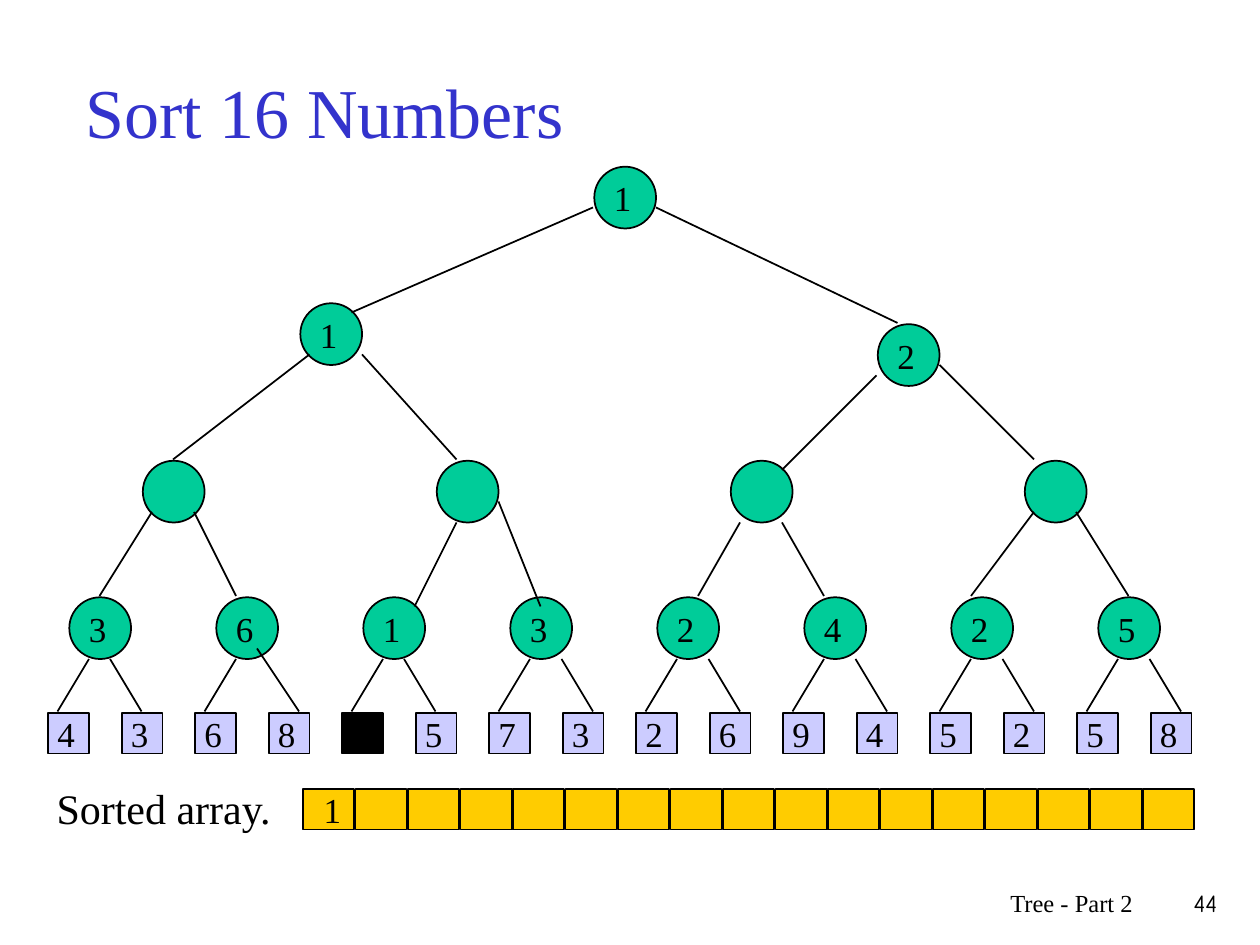
from typing import NamedTuple

from lxml import etree
from pptx import Presentation
from pptx.dml.color import RGBColor
from pptx.enum.shapes import MSO_CONNECTOR, MSO_SHAPE
from pptx.enum.text import MSO_ANCHOR, PP_ALIGN
from pptx.oxml.ns import qn
from pptx.util import Inches, Pt

OVAL, RECT = MSO_SHAPE.OVAL, MSO_SHAPE.RECTANGLE
STRAIGHT = MSO_CONNECTOR.STRAIGHT
LEFT, CENTER, RIGHT = PP_ALIGN.LEFT, PP_ALIGN.CENTER, PP_ALIGN.RIGHT
MIDDLE, TOP = MSO_ANCHOR.MIDDLE, MSO_ANCHOR.TOP

SERIF = "Times New Roman"
BLACK, BLUE, GREEN, LILAC, GOLD = "000000", "3333CC", "00CC99", "CCCCFF", "FFCC00"

# Grid of twelfths of an inch that the whole tree sits on
UNIT = 1 / 12
ORIGIN_X, ORIGIN_Y = 0.04, -0.02
GAP = 0.01


class Cell(NamedTuple):
    """A tree node, leaf or array slot, placed in grid units."""
    col: float
    row: float
    cols: float
    rows: float
    fill: str
    label: str = ""
    kind: int = RECT
    shift: float = -0.02  # offset of the label from the centre, inches


class Edge(NamedTuple):
    """A tree branch from parent to child, in grid units."""
    col1: int
    row1: int
    col2: int
    row2: int


def node(col: float, row: float, label: str = "") -> Cell:
    return Cell(col, row, 6, 6, GREEN, label, OVAL)


LEAVES = [Cell(4 + 7 * i, 68, 4, 4, LILAC if n else BLACK, n)
          for i, n in enumerate(["4", "3", "6", "8", "", "5", "7", "3",
                                 "2", "6", "9", "4", "5", "2", "5", "8"])]
NODES = ([node(6 + 14 * i, 57, n) for i, n in enumerate("36132425")]
         + [node(13 + 28 * i, 44) for i in range(4)]
         + [node(28, 29, "1"), node(83, 31, "2"), node(56, 16, "1")])
SLOTS = [Cell(28.25 + 5 * i, 75.25, 5, 4, GOLD, "" if i else "1", shift=0.03)
         for i in range(17)]

EDGES = [
    Edge(56, 20, 33, 30), Edge(62, 20, 85, 31),
    Edge(29, 34, 16, 44), Edge(34, 34, 43, 44),
    Edge(83, 36, 74, 45), Edge(89, 35, 98, 44),
    Edge(14, 49, 9, 57), Edge(18, 49, 22, 57),
    Edge(43, 50, 39, 58), Edge(47, 48, 51, 58),
    Edge(70, 50, 66, 57), Edge(74, 50, 78, 57),
    Edge(98, 49, 92, 57), Edge(102, 49, 107, 57),
]
LEAF_EDGES = [Edge(8 + 14 * i, 63, 5 + 14 * i, 68) for i in range(8)]
LEAF_EDGES += [Edge(10 + 14 * i, 63, 13 + 14 * i, 68) for i in (0, 2)]
LEAF_EDGES += [Edge(24, 62, 28, 68)]
LEAF_EDGES += [Edge(11 + 14 * i, 63, 14 + 14 * i, 68) for i in range(3, 8)]


def rgb(value: str) -> RGBColor:
    return RGBColor.from_string(value)


def grid_x(col: float) -> float:
    return ORIGIN_X + col * UNIT


def grid_y(row: float) -> float:
    return ORIGIN_Y + row * UNIT


def set_text(s, text: str, size: float, align: int, anchor: int,
             font: str = SERIF, color: str = BLACK) -> None:
    tf = s.text_frame
    tf.text = text
    tf.vertical_anchor = anchor
    p = tf.paragraphs[0]
    p.alignment = align
    f = p.runs[0].font
    f.name, f.size, f.color.rgb = font, Pt(size), rgb(color)


def draw_cell(slide, c: Cell) -> None:
    s = slide.shapes.add_shape(
        c.kind, Inches(grid_x(c.col) + GAP), Inches(grid_y(c.row) + GAP),
        Inches(c.cols * UNIT - GAP), Inches(c.rows * UNIT - GAP))
    s.shadow.inherit = False
    s.fill.solid()
    s.fill.fore_color.rgb = rgb(c.fill)
    s.line.color.rgb = rgb(BLACK)
    s.line.width = Pt(1)
    if c.label:
        tf = s.text_frame
        tf.word_wrap = False
        tf.margin_top = tf.margin_bottom = 0
        tf.margin_left = Inches(max(2 * c.shift, 0))
        tf.margin_right = Inches(max(-2 * c.shift, 0))
        set_text(s, c.label, 20, CENTER, MIDDLE)


def draw_edge(slide, e: Edge) -> None:
    s = slide.shapes.add_connector(
        STRAIGHT, Inches(grid_x(e.col1)), Inches(grid_y(e.row1)),
        Inches(grid_x(e.col2)), Inches(grid_y(e.row2)))
    s.line.color.rgb = rgb(BLACK)
    s.line.width = Pt(1)
    etree.SubElement(s._element.spPr, qn("a:effectLst"))


def add_label(slide, box: tuple, text: str, size: float, align: int,
              font: str = SERIF) -> None:
    s = slide.shapes.add_textbox(*map(Inches, box))
    s.text_frame.word_wrap = True
    set_text(s, text, size, align, TOP, font)


def main() -> None:
    prs = Presentation()
    prs.slide_width, prs.slide_height = Inches(10), Inches(7.5)
    slide = prs.slides.add_slide(prs.slide_layouts[5])

    title = slide.shapes.title
    title.left, title.top = Inches(0.58), Inches(0.25)
    title.width, title.height = Inches(8.5), Inches(1.25)
    set_text(title, "Sort 16 Numbers", 40, LEFT, MIDDLE, color=BLUE)

    for c in LEAVES + NODES:
        draw_cell(slide, c)
    for e in EDGES + LEAF_EDGES:
        draw_edge(slide, e)
    for c in SLOTS:
        draw_cell(slide, c)

    add_label(slide, (0.35, 6.16, 2.05, 0.5), "Sorted array.", 24, LEFT)
    add_label(slide, (5.92, 7, 3.17, 0.5), "Tree - Part 2", 14, RIGHT)
    add_label(slide, (9.08, 7, 0.68, 0.5), "44", 14, RIGHT, "Comic Neue")
    prs.save("out.pptx")


if __name__ == "__main__":
    main()
